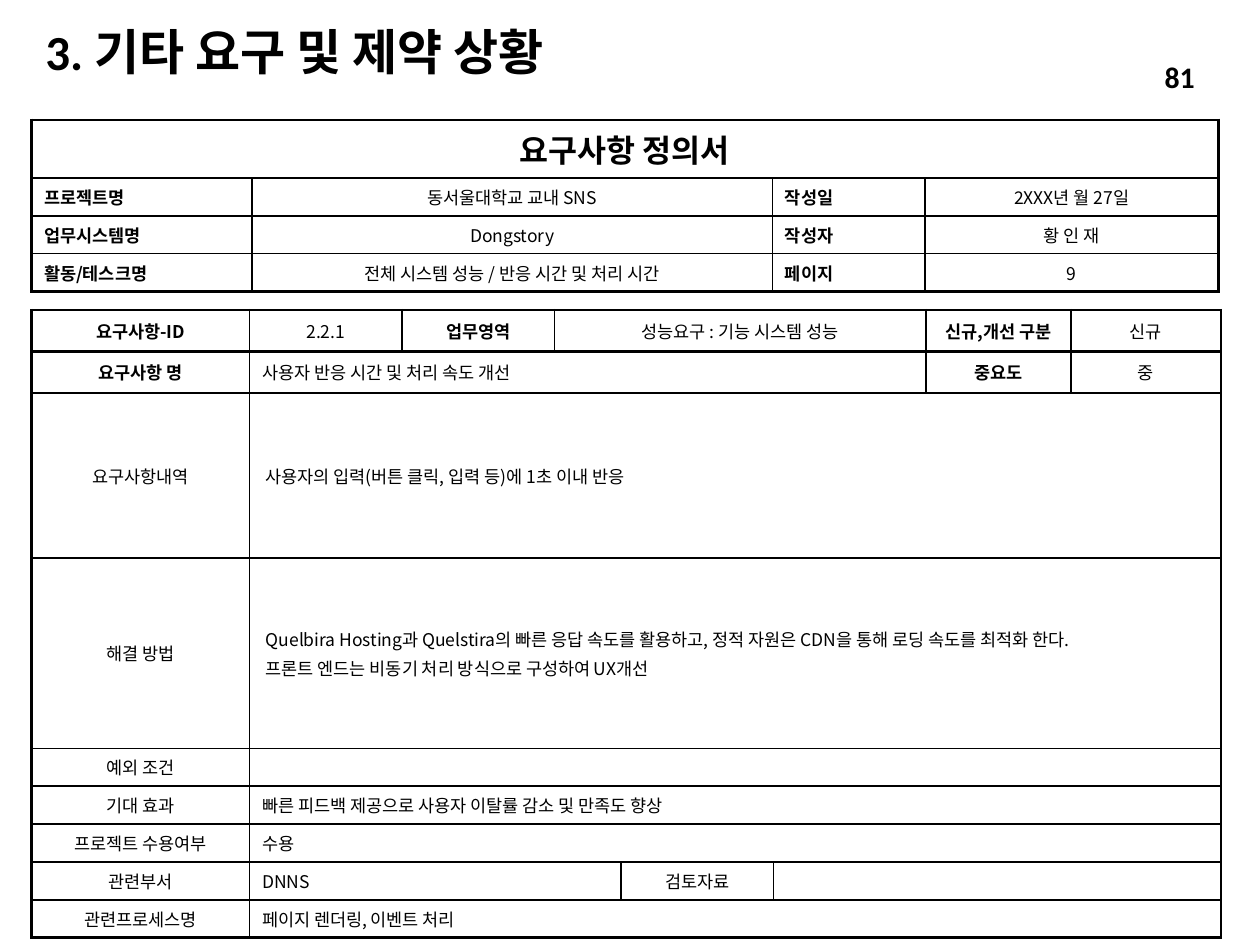
from lxml import etree
from pptx import Presentation
from pptx.dml.color import RGBColor
from pptx.enum.text import MSO_ANCHOR, PP_ALIGN
from pptx.oxml.ns import qn
from pptx.util import Inches, Pt

LEFT, CENTER = PP_ALIGN.LEFT, PP_ALIGN.CENTER
RIGHT, JUSTIFY = PP_ALIGN.RIGHT, PP_ALIGN.JUSTIFY
MIDDLE = MSO_ANCHOR.MIDDLE

COLORS = {"ink": "000000"}
LATIN, KOREAN = "Calibri", "Noto Sans CJK KR"
THIN, THICK = 1, 1.5

STYLES = {
    "heading": {"size": 18, "bold": True, "align": CENTER},
    "field": {"bold": True, "align": JUSTIFY},
    "label": {"bold": True, "align": CENTER},
    "value": {"align": CENTER},
    "note": {"align": LEFT},
    "detail": {"align": LEFT},
}

SUMMARY_COLUMNS = [1.75, 4.13, 1.21, 2.33]
SUMMARY_HEIGHTS = [0.46] + [0.3] * 3
SUMMARY_ROWS = [[("요구사항 정의서", "heading", 4)]] + [
    [(name, "field", 1), (value, "value", 1), (side, "field", 1), (entry, "value", 1)]
    for name, value, side, entry in [
        ("프로젝트명", "동서울대학교 교내 SNS", "작성일", "2XXX년 월 27일"),
        ("업무시스템명", "Dongstory", "작성자", "황 인 재"),
        ("활동/테스크명", "전체 시스템 성능 / 반응 시간 및 처리 시간", "페이지", "9"),
    ]
]

DETAIL_COLUMNS = [1.73, 1.21, 1.21, 0.53, 1.21, 1.21, 1.15, 1.19]
DETAIL_HEIGHTS = [0.33, 0.33, 1.31, 1.51] + [0.3] * 5
DETAIL_ROWS = [
    [("요구사항-ID", "label", 1), ("2.2.1", "value", 1), ("업무영역", "label", 1),
     ("성능요구 : 기능 시스템 성능", "value", 3), ("신규,개선 구분", "label", 1),
     ("신규", "value", 1)],
    [("요구사항 명", "label", 1), ("사용자 반응 시간 및 처리 속도 개선", "note", 5),
     ("중요도", "label", 1), ("중", "value", 1)],
    [("요구사항내역", "value", 1),
     ("사용자의 입력(버튼 클릭, 입력 등)에 1초 이내 반응", "detail", 7)],
    [("해결 방법", "value", 1),
     ("Quelbira Hosting과 Quelstira의 빠른 응답 속도를 활용하고, "
      "정적 자원은 CDN을 통해 로딩 속도를 최적화 한다.\n"
      "프론트 엔드는 비동기 처리 방식으로 구성하여 UX개선", "detail", 7)],
    [("예외 조건", "value", 1), ("", "note", 7)],
    [("기대 효과", "value", 1),
     ("빠른 피드백 제공으로 사용자 이탈률 감소 및 만족도 향상", "note", 7)],
    [("프로젝트 수용여부", "value", 1), ("수용", "note", 7)],
    [("관련부서", "value", 1), ("DNNS", "note", 3), ("검토자료", "value", 1),
     ("", "note", 3)],
    [("관련프로세스명", "value", 1), ("페이지 렌더링, 이벤트 처리", "note", 7)],
]


def write_text(frame, text, size=10, bold=False, align=LEFT, font=KOREAN,
               line_spacing=None):
    for index, line in enumerate(text.split("\n")):
        paragraph = frame.add_paragraph() if index else frame.paragraphs[0]
        paragraph.alignment = align
        paragraph.space_before = Pt(size * 0.2 if index else 0)
        if line_spacing:
            paragraph.line_spacing = line_spacing
        if not line:
            etree.SubElement(paragraph._p, qn("a:endParaRPr"), sz=str(size * 100))
            continue
        span = paragraph.add_run()
        span.text = line
        span.font.size = Pt(size)
        span.font.bold = bold
        span.font.name = font
        span.font.color.rgb = RGBColor.from_string(COLORS["ink"])
        etree.SubElement(span._r.get_or_add_rPr(), qn("a:ea"), typeface=KOREAN)


def set_borders(cell, left, right, top, bottom):
    cell.fill.background()
    properties = cell._tc.get_or_add_tcPr()
    sides = {"a:lnL": left, "a:lnR": right, "a:lnT": top, "a:lnB": bottom}
    for index, (tag, width) in enumerate(sides.items()):
        line = etree.Element(qn(tag), w=str(Pt(width)))
        fill = etree.SubElement(line, qn("a:solidFill"))
        etree.SubElement(fill, qn("a:srgbClr"), val=COLORS["ink"])
        properties.insert(index, line)


def add_form(page, top, columns, heights, rows, heavy_lines):
    frame = page.shapes.add_table(len(rows), len(columns), Inches(0.25), Inches(top),
                                  Inches(sum(columns)), Inches(sum(heights)))
    table = frame.table
    table.first_row = table.horz_banding = False
    for column, width in zip(table.columns, columns):
        column.width = Inches(width)
    for row, height in zip(table.rows, heights):
        row.height = Inches(height)

    def row_line(number):
        return THICK if number in (0, len(rows), *heavy_lines) else THIN

    def column_line(number):
        return THICK if number in (0, len(columns)) else THIN

    for number, entries in enumerate(rows):
        start = 0
        for text, style, width in entries:
            end = start + width
            cell = table.cell(number, start)
            if width > 1:
                cell.merge(table.cell(number, end - 1))
            for column in range(start, end):
                set_borders(table.cell(number, column), column_line(start),
                            column_line(end), row_line(number), row_line(number + 1))
            cell.vertical_anchor = MIDDLE
            cell.margin_left = Inches(0.13 if style == "detail" else 0.1)
            write_text(cell.text_frame, text, **STYLES[style])
            start = end


def place_text(box, left, top, width, height, text, **formatting):
    box.left, box.top = Inches(left), Inches(top)
    box.width, box.height = Inches(width), Inches(height)
    box.text_frame.word_wrap = True
    box.text_frame.vertical_anchor = MIDDLE
    write_text(box.text_frame, text, bold=True, font=LATIN, **formatting)


def main():
    deck = Presentation()
    deck.slide_width, deck.slide_height = Inches(10), Inches(7.5)
    page = deck.slides.add_slide(deck.slide_layouts[5])
    place_text(page.shapes.title, 0.26, 0.21, 5.36, 0.44, "3. 기타 요구 및 제약 상황",
               size=28, line_spacing=0.9)
    add_form(page, 2.46, DETAIL_COLUMNS, DETAIL_HEIGHTS, DETAIL_ROWS, (1, 2))
    add_form(page, 0.95, SUMMARY_COLUMNS, SUMMARY_HEIGHTS, SUMMARY_ROWS, ())
    number_box = page.shapes.add_textbox(0, 0, 0, 0)
    place_text(number_box, 7.96, 0.41, 1.62, 0.4, "81", size=17, align=RIGHT)
    deck.save("out.pptx")


if __name__ == "__main__":
    main()
